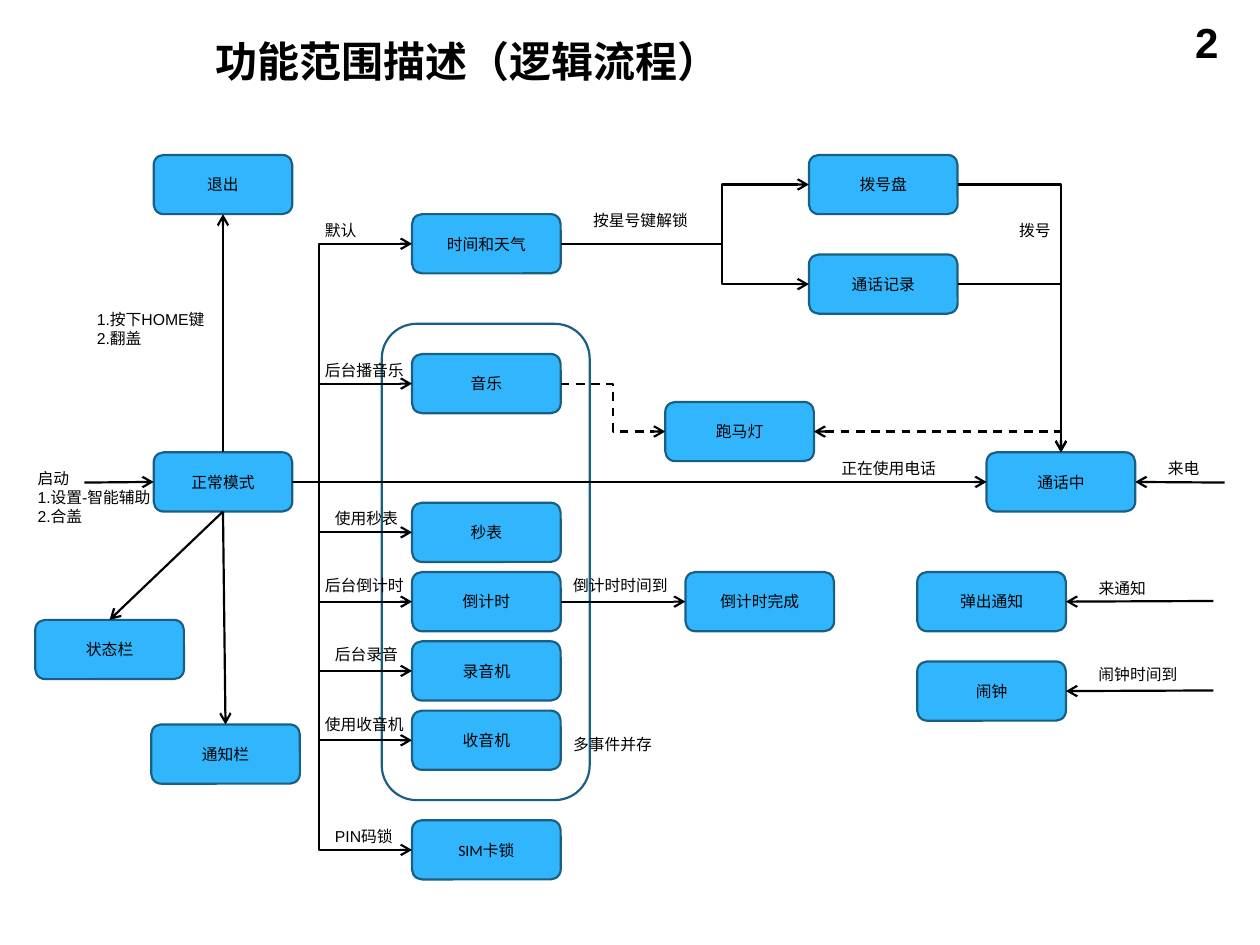
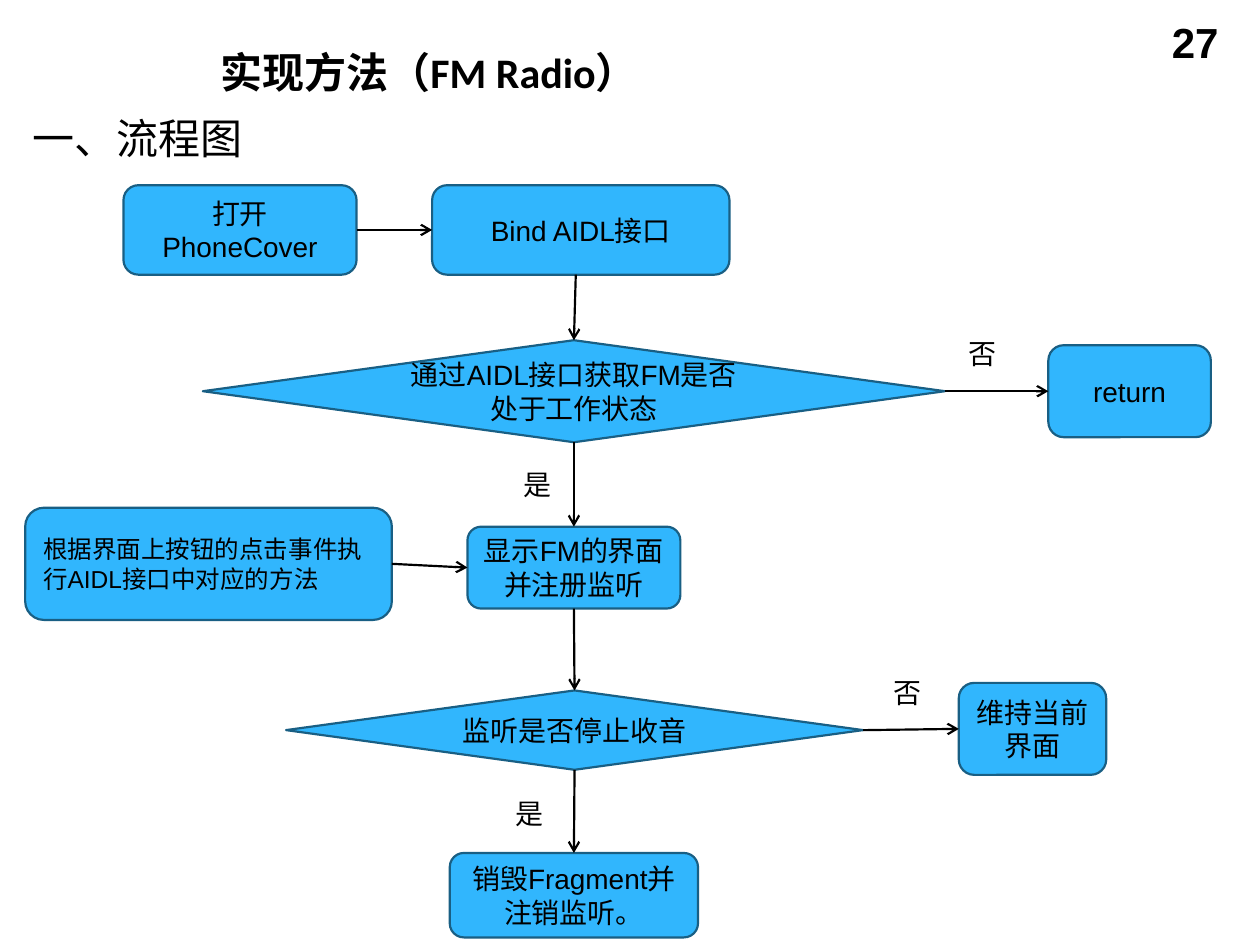
from lxml import etree
from pptx import Presentation
from pptx.dml.color import RGBColor
from pptx.enum.dml import MSO_LINE
from pptx.enum.shapes import MSO_CONNECTOR as CONN, MSO_SHAPE as SHAPE
from pptx.enum.text import MSO_ANCHOR as ANCHOR, MSO_AUTO_SIZE as FIT, PP_ALIGN as ALIGN
from pptx.oxml.ns import qn
from pptx.util import Inches, Pt

BLACK = RGBColor(0x00, 0x00, 0x00)
BLUE = RGBColor(0x31, 0xB6, 0xFD)
EDGE = RGBColor(0x19, 0x5F, 0x84)
LINE_W = Pt(1.25)
TOP, LEFT, BOTTOM, RIGHT = range(4)


def put(s, text, at, size=9, font="Arial", bold=False, align=ALIGN.LEFT,
        geom=None, sp=None, wrap=True):
    """Write text in sp, in a new blue shape (geom), or in a new text box."""
    box = [Inches(v) for v in at]
    if sp:
        sp.left, sp.top, sp.width, sp.height = box
    elif geom:
        sp = s.shapes.add_shape(geom, *box)
        sp.shadow.inherit = False
        sp.fill.solid()
        sp.fill.fore_color.rgb = BLUE
        sp.line.color.rgb = EDGE
        sp.line.width = LINE_W
    else:
        sp = s.shapes.add_textbox(*box)
    tf = sp.text_frame
    tf.auto_size = FIT.NONE
    tf.word_wrap = wrap
    tf.vertical_anchor = ANCHOR.MIDDLE if geom or sp.is_placeholder else ANCHOR.TOP
    tf.text = text
    for p in tf.paragraphs:
        p.alignment = align
        for r in p.runs:
            r.font.size = Pt(size)
            r.font.name = font
            r.font.bold = bold
            r.font.color.rgb = BLACK
    return sp


def link(s, start, end, turn=None, corner=False, dash=False, arrow="tailEnd"):
    """Join two ends, each (x, y) or (shape, side); turn is the elbow's share of the width."""
    elbow = corner or turn is not None
    c = s.shapes.add_connector(CONN.ELBOW if elbow else CONN.STRAIGHT, 0, 0, 0, 0)
    if isinstance(start[0], (int, float)):
        c.begin_x, c.begin_y = Inches(start[0]), Inches(start[1])
    else:
        c.begin_connect(*start)
    if isinstance(end[0], (int, float)):
        c.end_x, c.end_y = Inches(end[0]), Inches(end[1])
    else:
        c.end_connect(*end)
    c.line.color.rgb = BLACK
    c.line.width = LINE_W
    if dash:
        c.line.dash_style = MSO_LINE.DASH
    pr = c._element.spPr
    geom = pr.find(qn("a:prstGeom"))
    if corner:
        geom.set("prst", "bentConnector2")
    elif elbow:
        etree.SubElement(geom.find(qn("a:avLst")), qn("a:gd"),
                         name="adj1", fmla=f"val {round(turn * 100000)}")
    etree.SubElement(pr.find(qn("a:ln")), qn(f"a:{arrow}"), type="arrow")
    etree.SubElement(pr, qn("a:effectLst"))


prs = Presentation()
prs.slide_width, prs.slide_height = Inches(10), Inches(7.5)

# Shared title and page number
slides = []
for title, font, at, number in [
    ("功能范围描述（逻辑流程）", "Arial", (1.61, 0.21, 8.19, 0.55), "2"),
    ("实现方法（FM Radio）", "Calibri", (1.65, 0.3, 7.85, 0.54), "27"),
]:
    s = prs.slides.add_slide(prs.slide_layouts[5])
    put(s, title, at, size=24, font=font, bold=True, sp=s.shapes.title)
    put(s, number, (7.44, 0.08, 2.33, 0.52), size=24, bold=True, align=ALIGN.RIGHT)
    slides.append(s)

# Slide 1: logic flow
s = slides[0]
group = s.shapes.add_shape(SHAPE.ROUNDED_RECTANGLE, Inches(3.03), Inches(2.57),
                           Inches(1.65), Inches(3.78))
group.shadow.inherit = False
group.fill.background()
group.line.color.rgb = EDGE
group.line.width = LINE_W

BOX_W, MODE_W, BOX_H = 1.18, 1.1, 0.47
box = {}
for name, x, y, w in [
    ("正常模式", 1.22, 3.59, MODE_W),
    ("退出", 1.22, 1.23, MODE_W),
    ("拨号盘", 6.42, 1.23, BOX_W),
    ("通话记录", 6.42, 2.02, BOX_W),
    ("通话中", 7.83, 3.59, BOX_W),
    ("跑马灯", 5.28, 3.19, BOX_W),
    ("倒计时完成", 5.44, 4.54, BOX_W),
    ("弹出通知", 7.28, 4.54, BOX_W),
    ("闹钟", 7.28, 5.25, BOX_W),
    ("状态栏", 0.28, 4.92, BOX_W),
    ("通知栏", 1.2, 5.75, BOX_W),
    ("时间和天气", 3.27, 1.7, BOX_W),
    ("音乐", 3.27, 2.81, BOX_W),
    ("秒表", 3.27, 3.99, BOX_W),
    ("倒计时", 3.27, 4.54, BOX_W),
    ("录音机", 3.27, 5.09, BOX_W),
    ("收音机", 3.27, 5.64, BOX_W),
    ("SIM卡锁", 3.27, 6.51, BOX_W),
]:
    box[name] = put(s, name, (x, y, w, BOX_H), font="Calibri",
                    align=ALIGN.CENTER, geom=SHAPE.ROUNDED_RECTANGLE)

normal, call = box["正常模式"], box["通话中"]
for feature in ["时间和天气", "音乐", "秒表", "倒计时", "录音机", "收音机", "SIM卡锁"]:
    link(s, (normal, RIGHT), (box[feature], LEFT), turn=0.22)
for phone in ["拨号盘", "通话记录"]:
    link(s, (box["时间和天气"], RIGHT), (box[phone], LEFT), turn=0.65)
    link(s, (box[phone], RIGHT), (call, TOP), corner=True)
link(s, (normal, RIGHT), (call, LEFT))
link(s, (normal, TOP), (box["退出"], BOTTOM))
for bar in ["状态栏", "通知栏"]:
    link(s, (normal, BOTTOM), (box[bar], TOP))
link(s, (box["倒计时"], RIGHT), (box["倒计时完成"], LEFT))
link(s, (box["音乐"], RIGHT), (box["跑马灯"], LEFT), turn=0.5, dash=True)
link(s, (box["跑马灯"], RIGHT), (call, TOP), corner=True, dash=True, arrow="headEnd")
link(s, (0.67, 3.83), (normal, LEFT))
for event, x, y in [("通话中", 9.72, 3.83), ("弹出通知", 9.63, 4.77), ("闹钟", 9.63, 5.48)]:
    link(s, (x, y), (box[event], RIGHT))

for label, x, y, w in [
    ("按星号键解锁", 4.61, 1.62, 0.96),
    ("拨号", 7.99, 1.7, 0.45),
    ("来电", 9.17, 3.59, 0.45),
    ("正在使用电话", 6.58, 3.59, 0.96),
    ("来通知", 8.62, 4.54, 0.58),
    ("闹钟时间到", 8.62, 5.23, 0.83),
    ("倒计时时间到", 4.45, 4.52, 0.96),
    ("多事件并存", 4.45, 5.78, 0.83),
    ("默认", 2.48, 1.7, 0.45),
    ("后台播音乐", 2.48, 2.81, 0.83),
    ("使用秒表", 2.56, 3.99, 0.71),
    ("后台倒计时", 2.48, 4.52, 0.83),
    ("后台录音", 2.56, 5.07, 0.71),
    ("使用收音机", 2.48, 5.62, 0.83),
]:
    put(s, label, (x, y, w, 0.25), wrap=False)
put(s, "PIN码锁", (2.56, 6.51, 0.66, 0.25))
put(s, "1.按下HOME键\n2.翻盖", (0.67, 2.41, 1.1, 0.4))
put(s, "启动\n1.设置-智能辅助\n2.合盖", (0.2, 3.67, 1.1, 0.56))

# Slide 2: radio flowchart
s = slides[1]
put(s, "一、流程图", (0.16, 0.84, 2.11, 0.5), size=24, font="Calibri")

opened, bind, done, shown, destroy, keep = [
    put(s, text, at, size=16, align=ALIGN.CENTER, geom=SHAPE.ROUNDED_RECTANGLE)
    for text, at in [
        ("打开PhoneCover", (0.98, 1.47, 1.85, 0.71)),
        ("Bind AIDL接口", (3.43, 1.47, 2.36, 0.71)),
        ("return", (8.32, 2.74, 1.29, 0.73)),
        ("显示FM的界面并注册监听", (3.71, 4.18, 1.69, 0.65)),
        ("销毁Fragment并注销监听。", (3.57, 6.77, 1.97, 0.67)),
        ("维持当前界面", (7.61, 5.42, 1.17, 0.73)),
    ]
]
working, stopped = [
    put(s, text, at, size=16, align=ALIGN.CENTER, geom=SHAPE.DIAMOND)
    for text, at in [
        ("通过AIDL接口获取FM是否处于工作状态", (1.61, 2.7, 5.89, 0.81)),
        ("监听是否停止收音", (2.27, 5.48, 4.58, 0.63)),
    ]
]
clicks = put(s, "根据界面上按钮的点击事件执行AIDL接口中对应的方法",
             (0.2, 4.03, 2.91, 0.89), size=14, geom=SHAPE.ROUNDED_RECTANGLE)

link(s, (4.57, 2.18), (working, TOP))
for upper, lower in [(working, shown), (shown, stopped), (stopped, destroy)]:
    link(s, (upper, BOTTOM), (lower, TOP))
for before, after in [(opened, bind), (working, done), (clicks, shown), (stopped, keep)]:
    link(s, (before, RIGHT), (after, LEFT))

for answer, x, y in [("否", 7.59, 2.62), ("是", 4.06, 3.66),
                     ("否", 6.99, 5.31), ("是", 3.99, 6.27)]:
    put(s, answer, (x, y, 0.49, 0.37), size=16)

prs.save("out.pptx")
